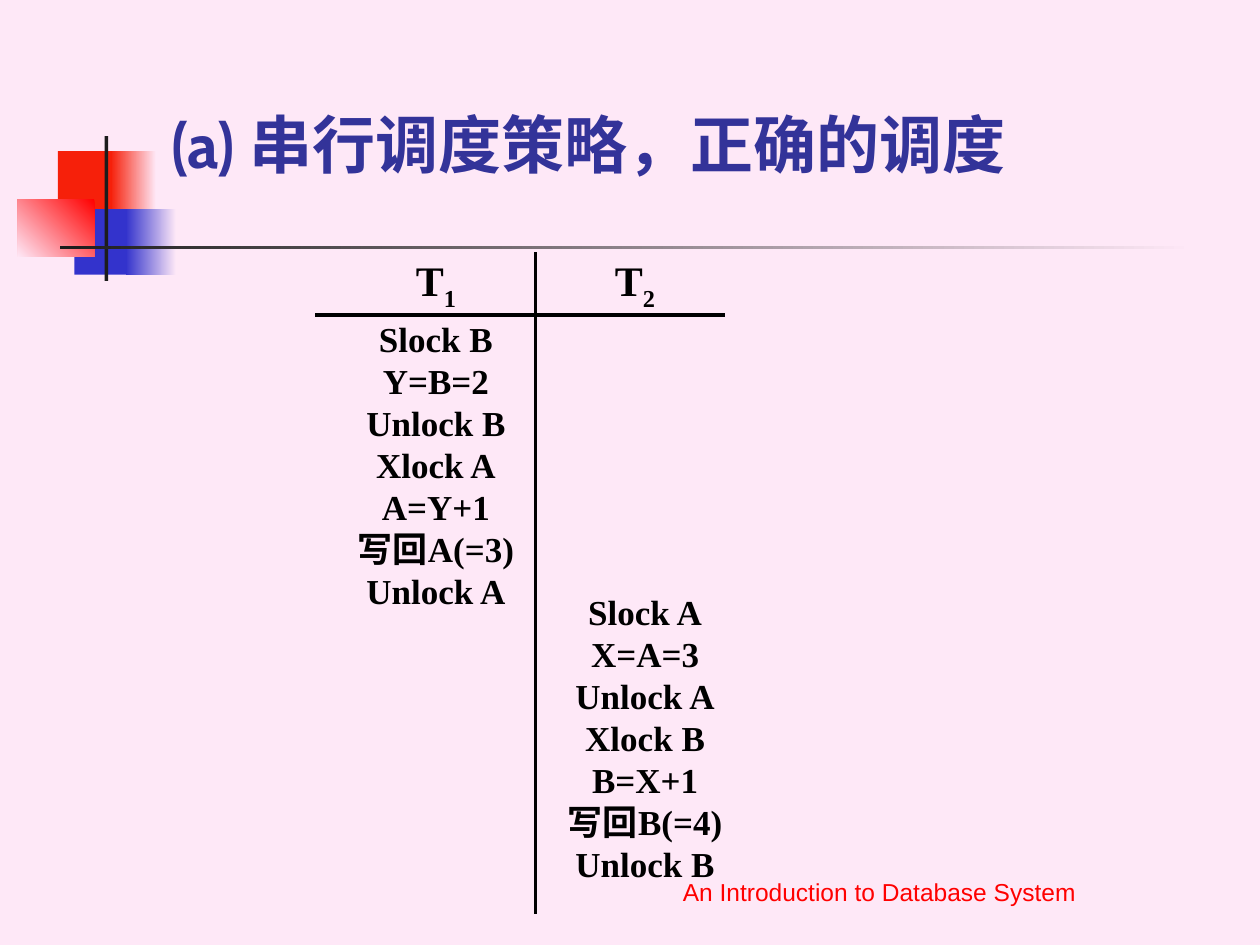
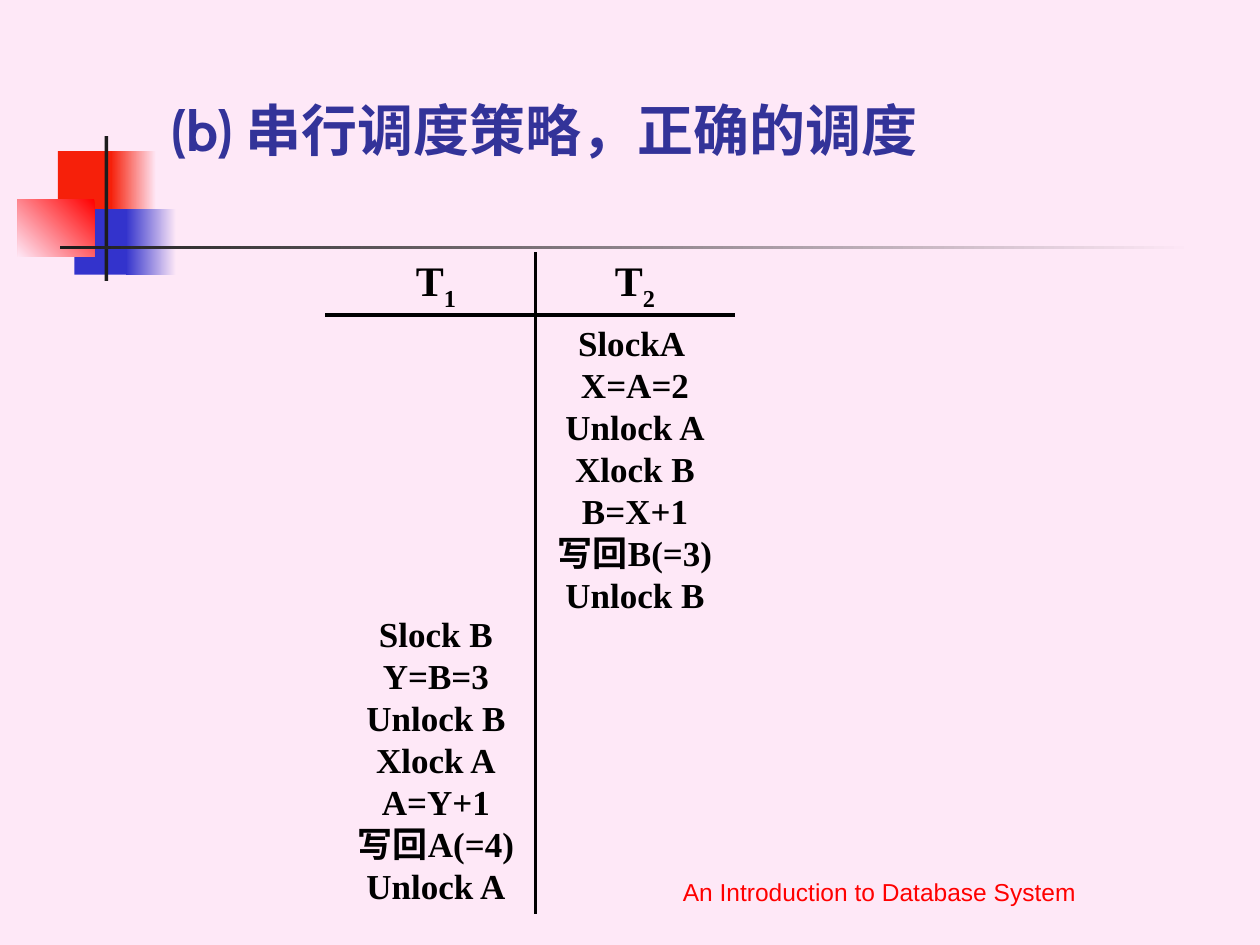
"""Two slides on serial scheduling strategies of database transactions."""
from lxml import etree
from pptx import Presentation
from pptx.dml.color import RGBColor
from pptx.enum.shapes import MSO_CONNECTOR, MSO_SHAPE
from pptx.enum.text import MSO_ANCHOR, PP_ALIGN
from pptx.oxml.ns import qn
from pptx.util import Pt

PX = 9144
RECT = MSO_SHAPE.RECTANGLE
STRAIGHT = MSO_CONNECTOR.STRAIGHT
LEFT, CENTER = PP_ALIGN.LEFT, PP_ALIGN.CENTER
MIDDLE, BOTTOM = MSO_ANCHOR.MIDDLE, MSO_ANCHOR.BOTTOM

PINK = RGBColor(0xFE, 0xE8, 0xF7)
ORANGE = RGBColor(0xF6, 0x20, 0x0A)
RED = RGBColor(0xFF, 0x00, 0x00)
BLUE = RGBColor(0x33, 0x33, 0xCC)
NAVY = RGBColor(0x33, 0x33, 0x99)
DARK = RGBColor(0x1C, 0x1C, 0x1C)
BLACK = RGBColor(0x00, 0x00, 0x00)

TITLE = {"name": "Cabin", "bold": True}
HEAD = {"name": "Times New Roman", "size": Pt(24), "bold": True}
STEP = {"name": "Times New Roman", "size": Pt(20), "bold": True}
FOOT = {"name": "Arial", "size": Pt(14)}

DECORATION = [
    ((46, 120, 48, 52), [ORANGE], 0),
    ((88, 120, 36, 52), [PINK, ORANGE], 180),
    ((59, 166, 46, 52), [BLUE], 0),
    ((100, 166, 40, 52), [PINK, BLUE], 180),
    ((14, 158, 61, 46), [RED, PINK], 225),
    ((83, 108, 3, 115), [DARK], 0),
    ((48, 195, 900, 3), [PINK, DARK], 180),
]
HEADS = [("1", 267), ("2", 425)]
SLIDES = [
    {
        "title": "(a) 串行调度策略，正确的调度",
        "title_box": (126, 67, 852, 82),
        "title_size": Pt(36),
        "rule_left": 250,
        "steps": [
            ((267, 243, 158, 251),
             ["Slock B", "Y=B=2", "Unlock B", "Xlock A", "A=Y+1", "写回A(=3)", "Unlock A"]),
            ((433, 454, 158, 263),
             ["Slock A", "X=A=3", "Unlock A", "Xlock B", "B=X+1", "写回B(=4)", "Unlock B"]),
        ],
    },
    {
        "title": "(b) 串行调度策略，正确的调度",
        "title_box": (126, 68, 852, 66),
        "title_size": Pt(32),
        "rule_left": 258,
        "steps": [
            ((267, 477, 158, 252),
             ["Slock B", "Y=B=3", "Unlock B", "Xlock A", "A=Y+1", "写回A(=4)", "Unlock A"]),
            ((425, 250, 158, 243),
             ["SlockA ", "X=A=2", "Unlock A", "Xlock B", "B=X+1", "写回B(=3)", "Unlock B"]),
        ],
    },
]


def add_text(s, box, lines, fmt, color, align=CENTER, anchor=MIDDLE, wrap=False, spacing=None):
    tf = s.shapes.add_textbox(*[v * PX for v in box]).text_frame
    tf.word_wrap = wrap
    tf.vertical_anchor = anchor
    for i, line in enumerate(lines):
        p = tf.add_paragraph() if i else tf.paragraphs[0]
        p.alignment = align
        p.line_spacing = spacing
        r = p.add_run()
        r.text = line
        for key, value in fmt.items():
            setattr(r.font, key, value)
        r.font.color.rgb = color
    return tf


def add_line(s, x1, y1, x2, y2):
    c = s.shapes.add_connector(STRAIGHT, x1 * PX, y1 * PX, x2 * PX, y2 * PX)
    c.line.color.rgb = BLACK
    c.line.width = Pt(2.25)
    etree.SubElement(c._element.spPr, qn("a:effectLst"))


prs = Presentation()
prs.slide_width = 1000 * PX
prs.slide_height = 750 * PX

for data in SLIDES:
    s = prs.slides.add_slide(prs.slide_layouts[6])
    s.background.fill.solid()
    s.background.fill.fore_color.rgb = PINK

    for box, colors, angle in DECORATION:
        sp = s.shapes.add_shape(RECT, *[v * PX for v in box])
        sp.shadow.inherit = False
        sp.line.fill.background()
        if len(colors) == 1:
            sp.fill.solid()
            sp.fill.fore_color.rgb = colors[0]
        else:
            sp.fill.gradient()
            sp.fill.gradient_angle = angle
            for stop, color in zip(sp.fill.gradient_stops, colors):
                stop.color.rgb = color

    add_text(s, data["title_box"], [data["title"]], {**TITLE, "size": data["title_size"]},
             NAVY, LEFT, BOTTOM, True)

    left = data["rule_left"]
    add_line(s, left, 250, left + 325, 250)
    add_line(s, 425, 200, 425, 725)

    for box, lines in data["steps"]:
        add_text(s, box, lines, STEP, BLACK, spacing=Pt(24))

    for number, left in HEADS:
        tf = add_text(s, (left, 200, 158, 50), ["T"], HEAD, BLACK)
        r = tf.paragraphs[0].add_run()
        r.text = number
        for key, value in HEAD.items():
            setattr(r.font, key, value)
        r.font.color.rgb = BLACK
        r._r.get_or_add_rPr().set("baseline", "-25000")

    add_text(s, (437, 674, 522, 50), ["An Introduction to Database System"], FOOT,
             RED, CENTER, BOTTOM, True)

prs.save("out.pptx")
